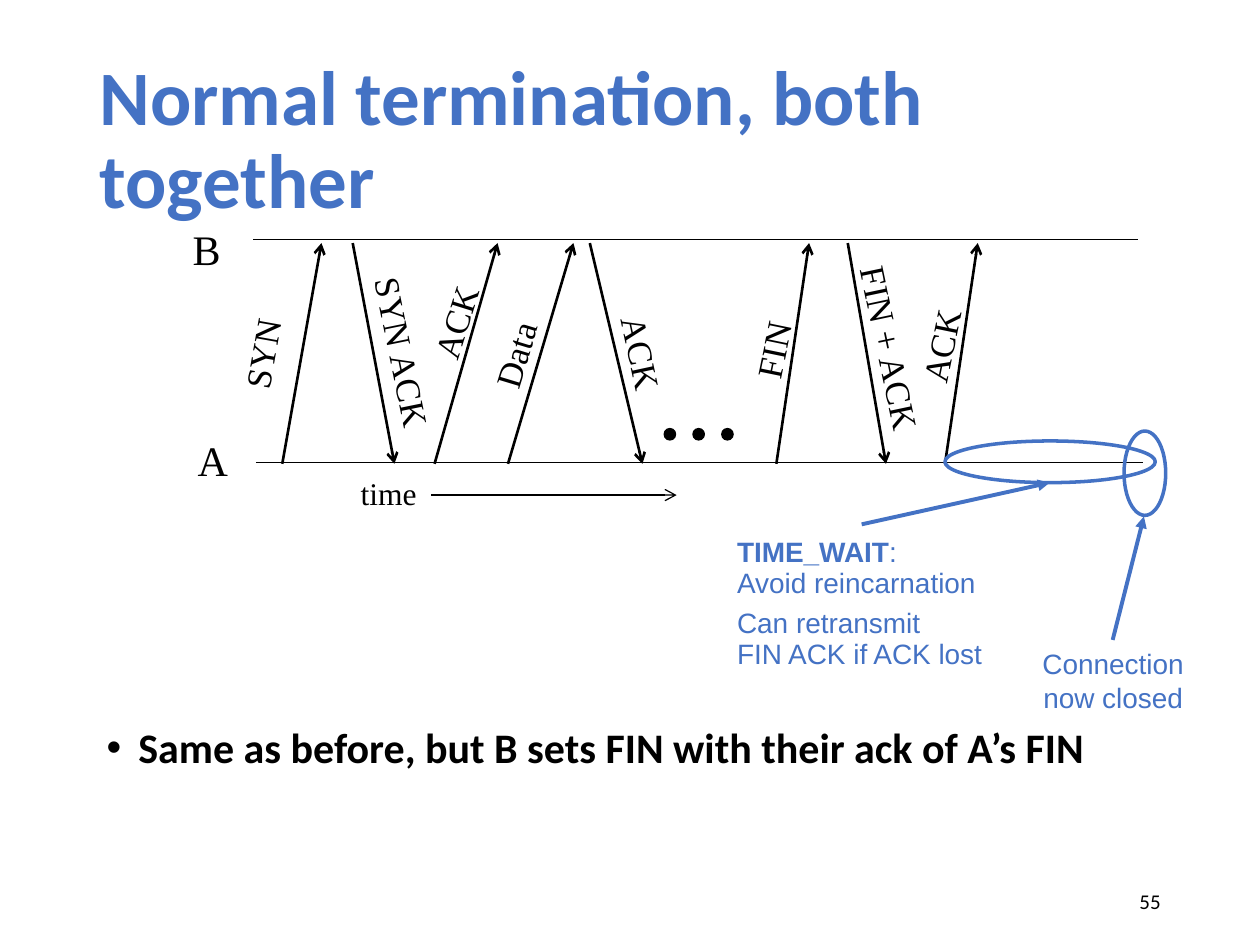
from dataclasses import dataclass
from typing import Optional

from lxml.etree import SubElement
from pptx import Presentation
from pptx.dml.color import RGBColor
from pptx.enum.shapes import MSO_CONNECTOR as Conn, MSO_SHAPE as Form
from pptx.enum.text import MSO_ANCHOR as Anchor, PP_ALIGN as Align
from pptx.oxml.ns import qn
from pptx.util import Cm, Pt


@dataclass(frozen=True)
class Theme:
    blue: RGBColor = RGBColor(0x44, 0x72, 0xC4)
    black: RGBColor = RGBColor(0, 0, 0)
    sans: str = "Calibri"
    serif: str = "Times New Roman"
    note: str = "Arial"
    title: int = 44
    body: int = 24
    host: int = 24
    label: int = 20
    time: int = 18
    small: int = 16
    page: int = 12


@dataclass(frozen=True)
class Style:
    font: str
    size: int
    color: RGBColor
    bold: bool = False


@dataclass(frozen=True)
class Packet:
    text: str
    start: float
    end: float
    up: bool
    mid: tuple[float, float]
    width: float
    turn: float


@dataclass(frozen=True)
class Para:
    runs: tuple[tuple[str, bool], ...]
    lead: Optional[float] = None


@dataclass(frozen=True)
class Note:
    paras: tuple[Para, ...]
    box: tuple[float, float, float, float]
    align: Align
    oval: tuple[float, float, float, float]
    arrow: tuple[float, float, float, float]


THEME = Theme()
TOP, BASE = 4.9, 9.35
LABEL = Style(THEME.serif, THEME.label, THEME.black)
HOST = Style(THEME.serif, THEME.host, THEME.black)
TIME = Style(THEME.serif, THEME.time, THEME.black)
NOTE = Style(THEME.note, THEME.small, THEME.blue)

PACKETS = [
    Packet("SYN", 5.69, 6.48, True, (5.28, 7.12), 1.93, 280.1),
    Packet("SYN ACK", 7.11, 7.95, False, (8.12, 7.1), 3.58, 78.5),
    Packet("ACK", 8.76, 10.03, True, (9.18, 6.49), 2.01, 287.4),
    Packet("Data", 10.24, 11.56, True, (10.38, 7.15), 1.85, 286.7),
    Packet("ACK", 11.89, 12.95, False, (12.94, 7.12), 2.01, 77.9),
    Packet("FIN", 15.65, 16.31, True, (15.58, 7.05), 1.65, 281.6),
    Packet("FIN + ACK", 17.09, 17.86, False, (17.95, 7.02), 3.89, 78.1),
    Packet("ACK", 19.05, 19.71, True, (18.96, 6.97), 2.01, 281.6),
]

NOTES = [
    Note((Para((("Connection\nnow closed", False),)),),
         (20.75, 12.9, 3.38, 1.63), Align.CENTER,
         (22.66, 8.69, 0.84, 1.7), (22.43, 12.9, 23.06, 10.41)),
    Note((Para((("TIME_WAIT", True), (":", False))),
          Para((("Avoid reincarnation", False),), 0.4),
          Para((("Can retransmit\nFIN ACK if ACK lost", False),), 0.9)),
         (14.61, 10.57, 5.51, 3.15), Align.LEFT,
         (19.05, 8.89, 4.24, 0.84), (17.37, 10.57, 21.16, 9.73)),
]


def add_run(para, text: str, style: Style, bold: bool = False) -> None:
    for k, part in enumerate(text.split("\n")):
        if k:
            para.add_line_break()
        run = para.add_run()
        run.text = part
        font = run.font
        font.name, font.size = style.font, Pt(style.size)
        font.bold = bold or style.bold
        font.color.rgb = style.color


def add_box(slide, box: tuple[float, float, float, float], wrap: bool = False):
    shape = slide.shapes.add_textbox(*map(Cm, box))
    shape.text_frame.word_wrap = wrap
    shape.text_frame.vertical_anchor = Anchor.MIDDLE
    return shape


def add_text(slide, text: str, box: tuple[float, float, float, float],
             style: Style, align: Align = Align.CENTER, turn: float = 0) -> None:
    shape = add_box(slide, box)
    shape.rotation = turn
    para = shape.text_frame.paragraphs[0]
    para.alignment = align
    add_run(para, text, style)


def add_line(slide, ends: tuple[float, float, float, float], width: float,
             color: RGBColor = THEME.black, head: Optional[str] = None) -> None:
    line = slide.shapes.add_connector(Conn.STRAIGHT, *map(Cm, ends))
    line.line.color.rgb = color
    line.line.width = Pt(width)
    if head:
        SubElement(line.line._get_or_add_ln(), qn("a:tailEnd"), type=head)
    SubElement(line._element.spPr, qn("a:effectLst"))


def add_oval(slide, box: tuple[float, float, float, float], width: float,
             color: RGBColor, solid: bool = False) -> None:
    oval = slide.shapes.add_shape(Form.OVAL, *map(Cm, box))
    oval.shadow.inherit = False
    if solid:
        oval.fill.solid()
        oval.fill.fore_color.rgb = color
    else:
        oval.fill.background()
    oval.line.color.rgb = color
    oval.line.width = Pt(width)


def add_packet(slide, item: Packet) -> None:
    near, far = (BASE, TOP) if item.up else (TOP, BASE)
    add_line(slide, (item.start, near, item.end, far), 1.5, head="arrow")
    high = 1.09
    x, y = item.mid
    box = (x - item.width / 2, y - high / 2, item.width, high)
    add_text(slide, item.text, box, LABEL, turn=item.turn)


def add_note(slide, note: Note) -> None:
    add_line(slide, note.arrow, 2.25, THEME.blue, "triangle")
    add_oval(slide, note.oval, 2, THEME.blue)
    frame = add_box(slide, note.box).text_frame
    for k, item in enumerate(note.paras):
        para = frame.add_paragraph() if k else frame.paragraphs[0]
        para.alignment = note.align
        para.line_spacing = item.lead
        if k:
            para.space_before = Pt(8)
        for text, bold in item.runs:
            add_run(para, text, NOTE, bold)


def add_title(slide, text: str) -> None:
    title = slide.shapes.title
    title.left, title.top, title.width, title.height = map(Cm, (1.75, 1.02, 21.9, 3.68))
    title.text_frame.vertical_anchor = Anchor.MIDDLE
    para = title.text_frame.paragraphs[0]
    para.alignment, para.line_spacing = Align.LEFT, 0.9
    add_run(para, text, Style(THEME.sans, THEME.title, THEME.blue, True))


def add_bullet(slide, text: str) -> None:
    frame = add_box(slide, (1.9, 14.53, 22.02, 2.18), True).text_frame
    frame.vertical_anchor = Anchor.TOP
    para = frame.paragraphs[0]
    props = para._p.get_or_add_pPr()
    props.set("marL", str(Cm(0.64)))
    props.set("indent", str(-Cm(0.64)))
    SubElement(props, qn("a:buFont"), typeface="Arial")
    SubElement(props, qn("a:buChar"), char="•")
    para.line_spacing = 0.9
    add_run(para, text, Style(THEME.sans, THEME.body, THEME.black, True))


def main() -> None:
    deck = Presentation()
    deck.slide_width, deck.slide_height = Cm(25.4), Cm(19.05)
    slide = deck.slides.add_slide(deck.slide_layouts[5])
    add_title(slide, "Normal termination, both together")
    add_bullet(slide, "Same as before, but B sets FIN with their ack of A’s FIN")
    add_line(slide, (5.11, 4.83, 22.94, 4.83), 0.75)
    add_line(slide, (5.16, 9.32, 23.04, 9.32), 0.75)
    add_line(slide, (8.69, 9.98, 13.64, 9.98), 0.75, head="arrow")
    add_text(slide, "time", (7.01, 9.42, 1.65, 1.02), TIME)
    add_text(slide, "A", (3.73, 8.64, 1.12, 1.27), HOST)
    add_text(slide, "B", (3.63, 4.37, 1.07, 1.27), HOST)
    for item in PACKETS:
        add_packet(slide, item)
    for k in range(3):
        add_oval(slide, (13.39 + 0.58 * k, 8.64, 0.23, 0.23), 0.75, THEME.black, True)
    for note in NOTES:
        add_note(slide, note)
    page = Style(THEME.sans, THEME.page, THEME.black)
    add_text(slide, "55", (17.93, 17.65, 5.72, 1.02), page, Align.RIGHT)
    deck.save("out.pptx")


if __name__ == "__main__":
    main()
